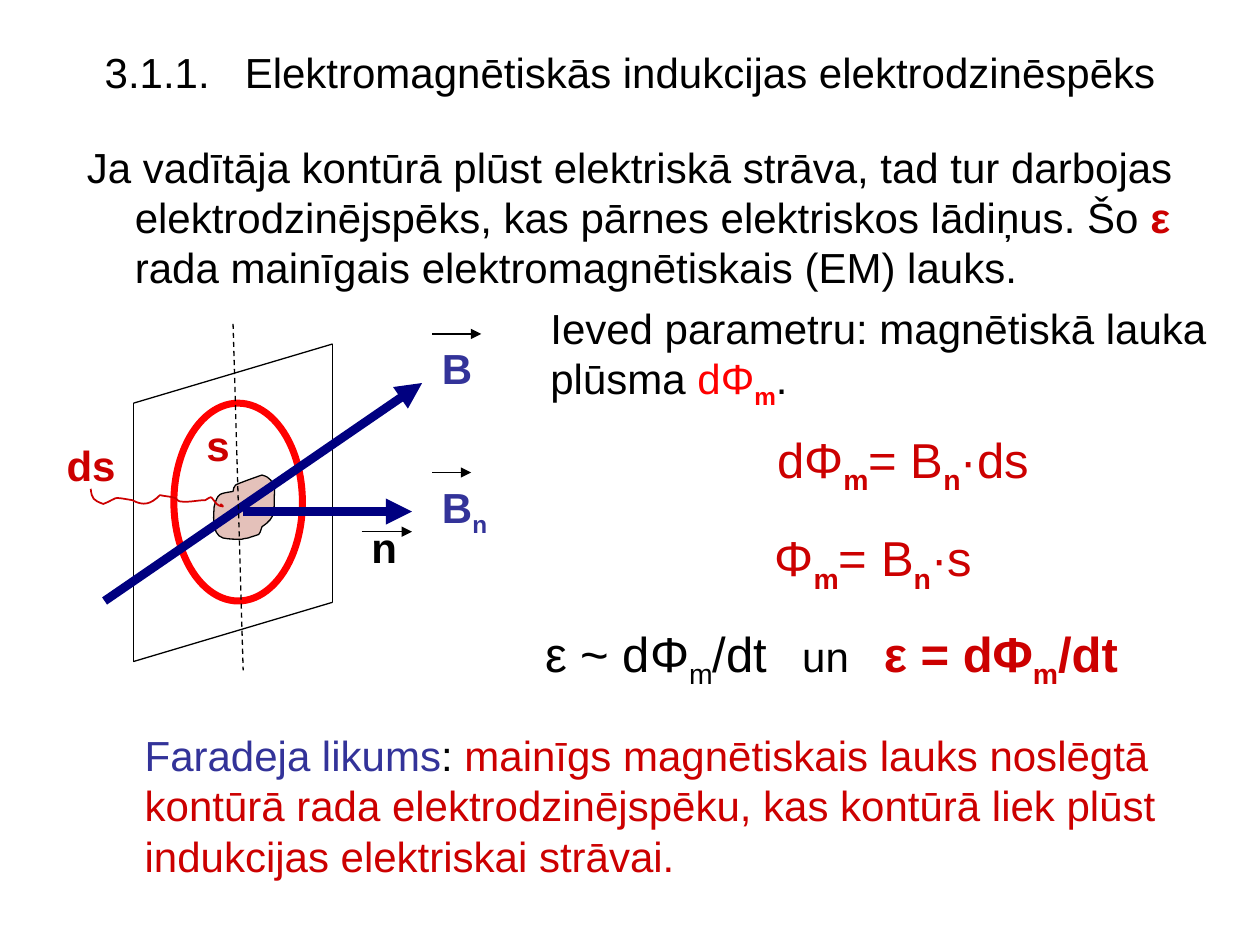
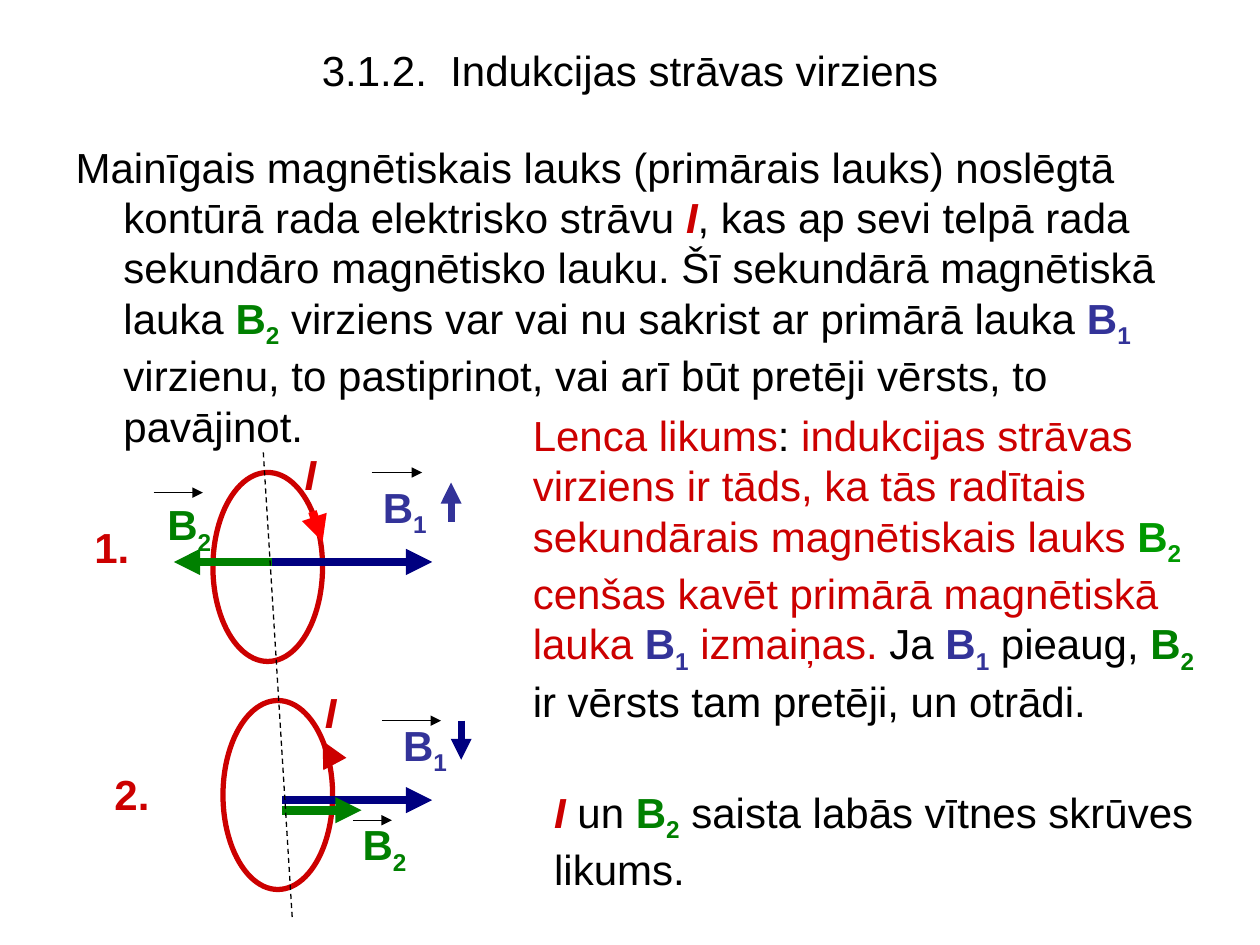
from lxml.etree import Element, SubElement as Sub
from pptx import Presentation
from pptx.dml.color import RGBColor
from pptx.enum.dml import MSO_LINE
from pptx.enum.shapes import MSO_CONNECTOR as LINK, MSO_SHAPE as SHAPE
from pptx.enum.text import MSO_ANCHOR as ANCHOR, MSO_AUTO_SIZE as FIT, PP_ALIGN as ALIGN
from pptx.oxml.ns import qn
from pptx.util import Inches, Pt

FONT = "Arial"
SIZE = 24
SPACE = 667  # width of a 24 pt space, in hundredths of a point
HUES = {
    "black": "000000", "white": "FFFFFF", "red": "FF0000", "dark": "CC0000",
    "blue": "333399", "navy": "000080", "green": "008000", "lime": "009900",
    "skin": "E4C1BA",
}
B1 = [("B", "blue", "b"), ("1", "blue", "bs")]
B2 = [("B", "green", "b"), ("2", "green", "bs")]
BN = [("B", "blue", "b"), ("n", "blue", "bs")]
AMP = [("I", "dark", "bi")]


def tint(name):
    return RGBColor.from_string(HUES[name])


def write(frame, paras, size=SIZE):
    """Fill a frame with runs (text, colour, style, size).

    Style letters: b bold, i italic, s subscript, a digit adds that many spaces' width.
    """
    for num, runs in enumerate(paras):
        para = frame.add_paragraph() if num else frame.paragraphs[0]
        for text, hue, style, *own in runs:
            run = para.add_run()
            run.text = text
            font = run.font
            font.name, font.size = FONT, Pt(own[0] if own else size)
            font.bold, font.italic = "b" in style, "i" in style
            font.color.rgb = tint(hue)
            if "s" in style:
                font._element.set("baseline", "-25000")
            if style.isdigit():
                font._element.set("spc", str(int(style) * SPACE))


def place(shape, x, y, wide, high):
    shape.left, shape.top = Inches(x), Inches(y)
    shape.width, shape.height = Inches(wide), Inches(high)


def bend(shape):
    """Turn each three straight segments of an outline into one cubic curve."""
    for num, seg in enumerate(list(shape._element.iter(qn("a:lnTo")))):
        if num % 3 == 0:
            cubic = Element(qn("a:cubicBezTo"))
            seg.addprevious(cubic)
        cubic.append(seg[0])
        seg.getparent().remove(seg)


class Pad:
    """Part of a slide whose shapes are placed from its top left corner."""

    def __init__(self, slide, x, y):
        self.shapes, self.x, self.y = slide.shapes, x, y

    def spot(self, x, y):
        return Inches(self.x + x), Inches(self.y + y)

    def line(self, start, end, hue="black", width=0.75, head=True, dash=False):
        link = self.shapes.add_connector(LINK.STRAIGHT, *self.spot(*start), *self.spot(*end))
        link.line.color.rgb, link.line.width = tint(hue), Pt(width)
        if dash:
            link.line.dash_style = MSO_LINE.DASH
        if head:
            Sub(link.line._get_or_add_ln(), qn("a:tailEnd"), type="triangle")
        Sub(link._element.spPr, qn("a:effectLst"))

    def style(self, shape, fill, hue, width):
        shape.shadow.inherit = False
        if fill:
            shape.fill.solid()
            shape.fill.fore_color.rgb = tint(fill)
        else:
            shape.fill.background()
        shape.line.color.rgb, shape.line.width = tint(hue), Pt(width)

    def ring(self, x, y, wide, high, hue, width):
        oval = self.shapes.add_shape(SHAPE.OVAL, *self.spot(x, y), Inches(wide), Inches(high))
        self.style(oval, "white", hue, width)

    def curve(self, start, curves, fill, hue, width):
        """Draw a chain of cubic curves, each given as six numbers."""
        path = self.shapes.build_freeform(*self.spot(*start))
        dots = [self.spot(*six[k:k + 2]) for six in curves for k in (0, 2, 4)]
        path.add_line_segments(dots, close=bool(fill))
        shape = path.convert_to_shape()
        bend(shape)
        self.style(shape, fill, hue, width)

    def text(self, x, y, wide, high, *paras, size=SIZE, wrap=False):
        box = self.shapes.add_textbox(*self.spot(x, y), Inches(wide), Inches(high))
        box.text_frame.word_wrap = wrap
        box.text_frame.auto_size = FIT.SHAPE_TO_FIT_TEXT
        write(box.text_frame, paras, size)


def start(deck, num, name, gap, top, body, box):
    """Add a slide with its centred title and hanging lead paragraph."""
    slide = deck.slides.add_slide(deck.slide_layouts[1])
    head, lead = slide.placeholders
    place(head, 0.5, top, 9, 0.54)
    frame = head.text_frame
    frame.vertical_anchor, frame.auto_size = ANCHOR.MIDDLE, FIT.NONE
    write(frame, [[(num, "black", ""), (" ", "black", gap), (name, "black", "")]])
    frame.paragraphs[0].alignment = ALIGN.CENTER

    place(lead, *box)
    lead.text_frame.auto_size = FIT.NONE
    para = lead.text_frame.paragraphs[0]
    props = para._p.get_or_add_pPr()
    props.set("marL", str(Inches(0.38)))
    props.set("indent", str(-Inches(0.38)))
    Sub(props, qn("a:buNone"))
    para.space_before = Pt(0)
    write(lead.text_frame, [body])
    return slide


def flux(pad):
    """Loop in a tilted plane, crossed by the field and its normal part."""
    pad.ring(0.95, 0.63, 1.02, 1.57, "red", 4)
    near, far, deep = (0.63, 0.63), (2.21, 0.16), 2.05
    low, base = [(x, y + deep) for x, y in (near, far)]
    for a, b in ((near, low), (far, base), (far, near), (base, low)):
        pad.line(a, b, head=False)
    pad.curve((1.27, 1.45), [
        (1.3, 1.34, 1.31, 1.35, 1.42, 1.33), (1.43, 1.31, 1.42, 1.29, 1.44, 1.28),
        (1.45, 1.27, 1.62, 1.21, 1.65, 1.2), (1.72, 1.22, 1.73, 1.25, 1.75, 1.31),
        (1.74, 1.49, 1.77, 1.53, 1.65, 1.61), (1.62, 1.69, 1.65, 1.66, 1.54, 1.7),
        (1.52, 1.7, 1.49, 1.71, 1.49, 1.71), (1.44, 1.71, 1.39, 1.71, 1.34, 1.7),
        (1.24, 1.67, 1.27, 1.49, 1.27, 1.45),
    ], "skin", "black", 0.75)
    pad.line((0.4, 2.2), (2.92, 0.47), "navy", 5)
    pad.line((1.5, 1.49), (2.84, 1.49), "navy", 5)
    pad.line((1.42, 0), (1.5, 2.75), head=False, dash=True)
    pad.text(2.98, 0.1, 0.44, 0.5, [("B", "blue", "b")])
    pad.text(2.98, 1.2, 0.56, 0.56, BN)
    pad.text(1.11, 0.71, 0.38, 0.5, [("s", "dark", "b")])
    pad.text(0, 0.87, 0.59, 0.5, [("ds", "dark", "b")])
    pad.text(2.42, 1.52, 0.4, 0.5, [("n", "black", "b")])
    for x, y, wide in ((3, 1.18, 0.31), (3, 0.08, 0.39), (2.44, 1.65, 0.4)):
        pad.line((x, y), (x + wide, y))
    pad.curve((0.29, 1.31), [
        (0.3, 1.39, 0.31, 1.4, 0.39, 1.43), (0.52, 1.38, 0.44, 1.37, 0.62, 1.4),
        (0.71, 1.45, 0.77, 1.43, 0.84, 1.36), (0.88, 1.37, 0.92, 1.37, 0.95, 1.38),
        (0.97, 1.38, 0.98, 1.41, 1, 1.41), (1.07, 1.42, 1.14, 1.4, 1.2, 1.4),
        (1.22, 1.39, 1.24, 1.37, 1.25, 1.38), (1.27, 1.39, 1.27, 1.42, 1.29, 1.43),
        (1.3, 1.44, 1.32, 1.45, 1.34, 1.45), (1.35, 1.45, 1.33, 1.44, 1.32, 1.43),
    ], None, "dark", 1)


def product(phi, end):
    return [(phi, "dark", ""), ("m", "dark", "bs"), ("= B", "dark", ""),
            ("n", "dark", "bs"), (end, "dark", "")]


def rate(sign, hue, style):
    return [(f"ε {sign} dΦ", hue, style), ("m", hue, style + "s"), ("/dt", hue, style)]


def sums(pad):
    """Column of formulas for the flux."""
    pad.text(0.04, 0, 5.5, 0.96,
             [("Ieved parametru: magnētiskā lauka", "black", "")],
             [("plūsma ", "black", ""), ("dΦ", "red", ""), ("m", "red", "bs"),
              (".", "black", "")], wrap=True)
    pad.text(1.84, 1.01, 2.4, 0.63, product("dΦ", "·ds"), size=28, wrap=True)
    pad.text(1.82, 1.79, 2, 0.63, product("Φ", "·s"), size=28, wrap=True)
    gap = (" ", "black", "2", SIZE)
    pad.text(0, 2.55, 4.84, 0.63,
             rate("~", "black", "") + [gap, ("un", "black", "", SIZE), gap]
             + rate("=", "dark", "b"), size=28, wrap=True)


def faraday(pad):
    pad.text(0, 0, 8.26, 1.3,
             [("Faradeja likums", "blue", ""), (": ", "black", ""),
              ("mainīgs magnētiskais lauks noslēgtā", "dark", "")],
             [("kontūrā rada elektrodzinējspēku, kas kontūrā liek plūst", "dark", "")],
             [("indukcijas elektriskai strāvai.", "dark", "")])


def case(pad, num, spots, vectors, bars):
    """One loop: spots of number, B1, B2 and I, then thick and thin arrows."""
    pad.ring(0, 0, 0.87, 1.5, "dark", 3)
    for a, b, hue, width in vectors:
        pad.line(a, b, hue, width)
    sizes = ((0.48, 0.5), (0.55, 0.56), (0.55, 0.56), (0.29, 0.5))
    for spot, size, runs in zip(spots, sizes, ([(num, "dark", "b")], B1, B2, AMP)):
        pad.text(*spot, *size, runs)
    for x, y, wide in bars:
        pad.line((x, y), (x + wide, y))


def lenz(pad):
    pad.text(0, 0, 5.59, 2.61,
             [("Lenca likums", "dark", ""), (": ", "black", ""),
              ("indukcijas strāvas", "dark", "")],
             [("virziens ir tāds, ka tās radītais sekundārais magnētiskais lauks ", "dark", ""),
              ("B", "lime", "b"), ("2", "lime", "bs"),
              (" cenšas kavēt primārā magnētiskā lauka ", "dark", ""), *B1,
              (" izmaiņas.", "dark", ""), (" Ja ", "black", ""), *B1,
              (" pieaug, ", "black", ""), *B2,
              (" ir vērsts tam pretēji, un otrādi.", "black", "")], wrap=True)
    pad.text(0.17, 2.99, 5.36, 0.96,
             [("I ", "dark", "bi"), ("un ", "black", ""), *B2,
              (" saista labās vītnes skrūves", "black", "")],
             [("likums.", "black", "")])


def force(deck):
    slide = start(
        deck, "3.1.1.", "Elektromagnētiskās indukcijas elektrodzinēspēks", "2", 0.3,
        [("Ja vadītāja kontūrā plūst elektriskā strāva, tad tur darbojas "
          "elektrodzinējspēks, kas pārnes elektriskos lādiņus. Šo ", "black", ""),
         ("ε", "dark", "b"),
         (" rada mainīgais elektromagnētiskais (EM) lauks.", "black", "")],
        (0.59, 1.07, 9, 5.75))
    flux(Pad(slide, 0.43, 2.57))
    sums(Pad(slide, 4.23, 2.35))
    faraday(Pad(slide, 1.05, 5.74))


def current(deck):
    slide = start(
        deck, "3.1.2.", "Indukcijas strāvas virziens", "1", 0.28,
        [("Mainīgais magnētiskais lauks (primārais lauks) noslēgtā kontūrā rada "
          "elektrisko strāvu ", "black", ""), *AMP,
         (", kas ap sevi telpā rada sekundāro magnētisko lauku. Šī sekundārā "
          "magnētiskā lauka ", "black", ""), *B2,
         (" virziens var vai nu sakrist ar primārā lauka ", "black", ""), *B1,
         (" virzienu, to pastiprinot, vai arī būt pretēji vērsts, to pavājinot.",
          "black", "")],
        (0.5, 1.07, 9, 5.63))
    case(Pad(slide, 1.69, 3.75), "1.",
         ((-1.04, 0.34), (1.25, 0.02), (-0.46, 0.16), (0.63, -0.24)),
         (((0.47, 0.71), (1.74, 0.71), "navy", 5),
          ((0.47, 0.71), (-0.31, 0.71), "green", 5),
          ((0.79, 0.31), (0.87, 0.55), "red", 5),
          ((1.89, 0.39), (1.89, 0.08), "blue", 4)),
         ((1.26, 0, 0.4), (-0.47, 0.16, 0.39)))
    case(Pad(slide, 1.77, 5.56), "2.",
         ((-0.96, 0.49), (1.33, 0.1), (1.01, 0.89), (0.71, -0.16)),
         (((0.47, 0.79), (1.66, 0.79), "navy", 5),
          ((0.47, 0.87), (1.1, 0.87), "green", 5),
          ((0.87, 0.47), (0.79, 0.32), "dark", 5),
          ((1.89, 0.16), (1.89, 0.47), "navy", 4)),
         ((1.26, 0.16, 0.47), (1.03, 0.95, 0.31)))
    Pad(slide, 2.09, 3.59).line((0, 0), (0.23, 3.7), head=False, dash=True)
    lenz(Pad(slide, 4.13, 3.2))


def main():
    deck = Presentation()
    deck.slide_width, deck.slide_height = Inches(10), Inches(7.5)
    force(deck)
    current(deck)
    deck.save("out.pptx")


if __name__ == "__main__":
    main()
